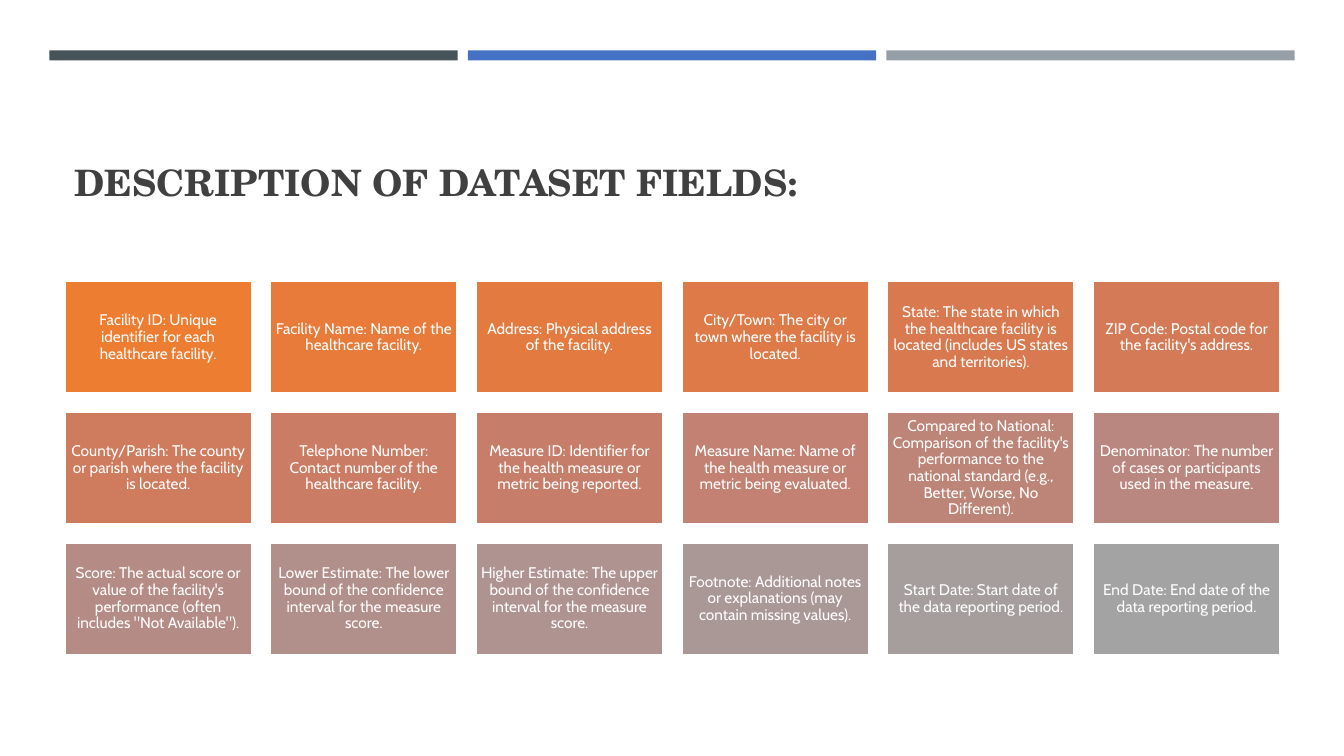
import pptx
import pptx.util
import pptx.dml.color
import pptx.enum.shapes
import pptx.enum.text

Inches = pptx.util.Inches
Pt = pptx.util.Pt
RGBColor = pptx.dml.color.RGBColor
Align = pptx.enum.text.PP_ALIGN
Anchor = pptx.enum.text.MSO_ANCHOR

WHITE = RGBColor(0xFF, 0xFF, 0xFF)
TITLE_GREY = RGBColor(0x40, 0x40, 0x40)
SLATE = RGBColor(0x46, 0x53, 0x59)
BLUE = RGBColor(0x44, 0x72, 0xC4)
SILVER = RGBColor(0x96, 0x9F, 0xA7)
TILE_COLORS = [RGBColor.from_string(code) for code in (
    "ED7D31", "E87B39", "E37A40", "DE7948", "D9794F", "D47A56",
    "CF7B5D", "CA7C64", "C67E6B", "C28172", "BD8478", "B9877F",
    "B58B85", "B18F8B", "AE9391", "AA9897", "A69D9D", "A3A3A3",
)]

FIELDS = [
    "Facility ID: Unique identifier for each healthcare facility.",
    "Facility Name: Name of the healthcare facility.",
    "Address: Physical address of the facility.",
    "City/Town: The city or town where the facility is located.",
    "State: The state in which the healthcare facility is located (includes US states and territories).",
    "ZIP Code: Postal code for the facility's address.",
    "County/Parish: The county or parish where the facility is located.",
    "Telephone Number: Contact number of the healthcare facility.",
    "Measure ID: Identifier for the health measure or metric being reported.",
    "Measure Name: Name of the health measure or metric being evaluated.",
    "Compared to National: Comparison of the facility's performance to the national standard "
    "(e.g., Better, Worse, No Different).",
    "Denominator: The number of cases or participants used in the measure.",
    "Score: The actual score or value of the facility's performance (often includes \"Not Available\").",
    "Lower Estimate: The lower bound of the confidence interval for the measure score.",
    "Higher Estimate: The upper bound of the confidence interval for the measure score.",
    "Footnote: Additional notes or explanations (may contain missing values).",
    "Start Date: Start date of the data reporting period.",
    "End Date: End date of the data reporting period.",
]
COLUMNS = 6
ROWS = 3


def write_text(frame, text, *, font, size, color, bold=False, align=Align.LEFT,
               anchor=Anchor.MIDDLE, side=0.05, spacing=1.0):
    frame.word_wrap = True
    frame.vertical_anchor = anchor
    frame.margin_left = frame.margin_right = Inches(side)
    frame.margin_top = frame.margin_bottom = Inches(0.05)
    paragraph = frame.paragraphs[0]
    paragraph.alignment = align
    paragraph.line_spacing = spacing
    run = paragraph.add_run()
    run.text = text
    run.font.name = font
    run.font.size = Pt(size)
    run.font.bold = bold
    run.font.color.rgb = color


def add_block(slide, left, top, width, height, fill):
    block = slide.shapes.add_shape(
        pptx.enum.shapes.MSO_SHAPE.RECTANGLE,
        Inches(left), Inches(top), Inches(width), Inches(height))
    block.shadow.inherit = False
    block.fill.solid()
    block.fill.fore_color.rgb = fill
    block.line.fill.background()
    return block


def add_top_bars(slide, left, top, width, height):
    gap = 0.1
    bar_width = (width - 2 * gap) / 3
    for index, color in enumerate((SLATE, BLUE, SILVER)):
        add_block(slide, left + index * (bar_width + gap), top, bar_width, height, color)


def add_title(slide, left, top, width, height):
    title = slide.shapes.add_textbox(Inches(left), Inches(top), Inches(width), Inches(height))
    write_text(title.text_frame, "DESCRIPTION OF DATASET FIELDS:", font="TeX Gyre Schola",
               size=26, color=TITLE_GREY, bold=True, anchor=Anchor.BOTTOM, side=0.1)


def add_field_grid(slide, left, top, width, height):
    gap = 0.18
    tile_width = (width - (COLUMNS - 1) * gap) / COLUMNS
    tile_height = (height - (ROWS - 1) * gap) / ROWS
    for index, (field, color) in enumerate(zip(FIELDS, TILE_COLORS)):
        row, column = divmod(index, COLUMNS)
        tile = add_block(slide, left + column * (tile_width + gap),
                         top + row * (tile_height + gap), tile_width, tile_height, color)
        tile.line.color.rgb = WHITE
        tile.line.width = Pt(1.75)
        write_text(tile.text_frame, field, font="Cabin", size=11, color=WHITE,
                   align=Align.CENTER, spacing=0.9)


def main():
    deck = pptx.Presentation()
    deck.slide_width = Inches(13.33)
    deck.slide_height = Inches(7.5)
    slide = deck.slides.add_slide(deck.slide_layouts[6])
    add_top_bars(slide, 0.49, 0.5, 12.35, 0.1)
    add_title(slide, 0.64, 0.77, 12.06, 1.3)
    add_field_grid(slide, 0.64, 2.79, 12.06, 3.71)
    deck.save("out.pptx")


if __name__ == "__main__":
    main()
